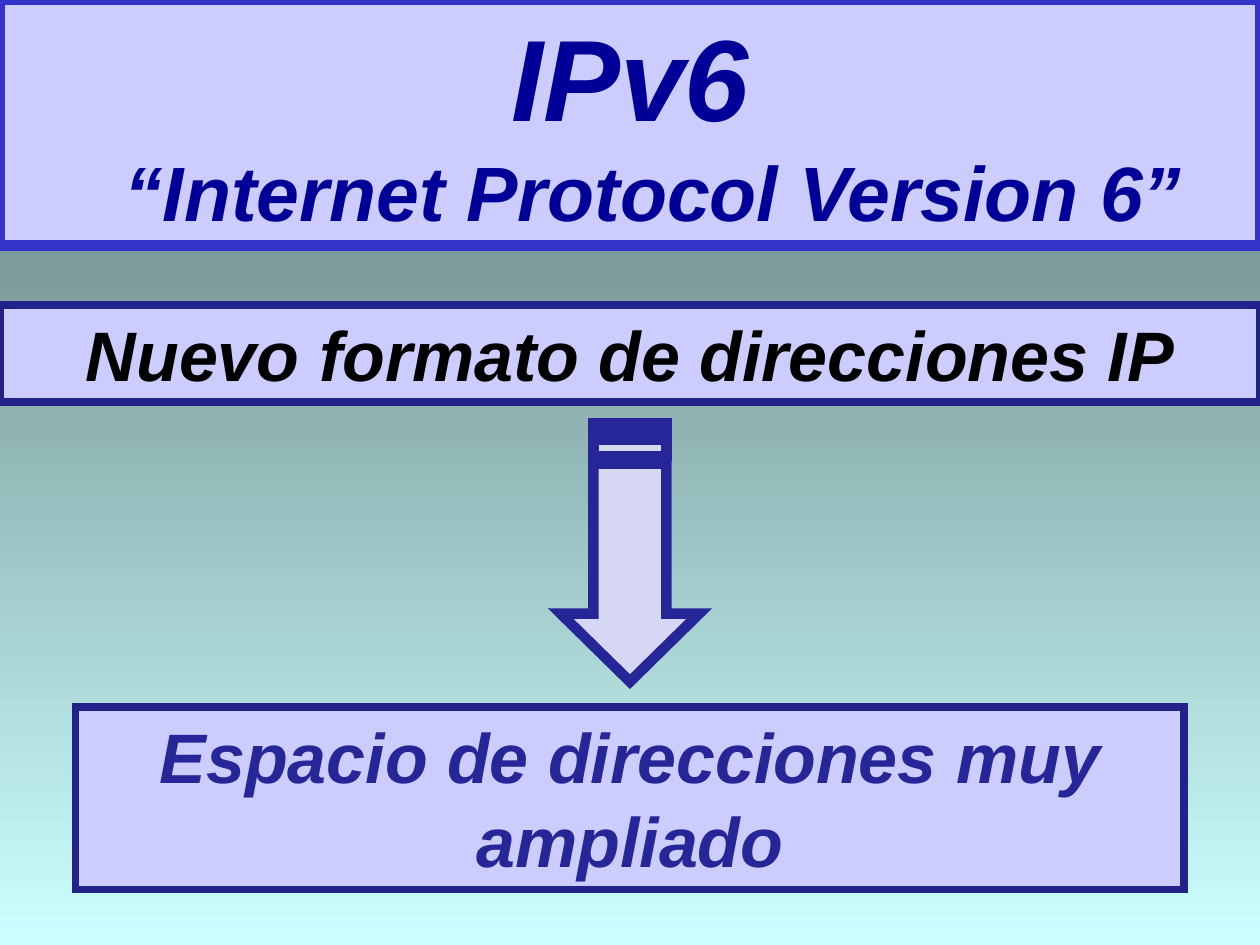
from lxml.etree import SubElement
from pptx import Presentation
from pptx.dml.color import RGBColor
from pptx.enum.shapes import MSO_SHAPE as Shape
from pptx.enum.text import MSO_ANCHOR as Anchor, PP_ALIGN as Align
from pptx.oxml.ns import qn
from pptx.util import Inches, Pt

LAVENDER = RGBColor(0xCC, 0xCC, 0xFF)
PALE = RGBColor(0xD6, 0xD6, 0xF5)
BLUE = RGBColor(0x33, 0x33, 0xCC)
NAVY = RGBColor(0x22, 0x22, 0x8B)
INDIGO = RGBColor(0x26, 0x26, 0x99)
TITLE_BLUE = RGBColor(0x00, 0x00, 0x99)
BLACK = RGBColor(0x00, 0x00, 0x00)
SKY_TOP = RGBColor(0x5E, 0x76, 0x76)
SKY_BOTTOM = RGBColor(0xCC, 0xFF, 0xFF)

WIDTH, HEIGHT = 10, 7.5


def paint(shape, fill, line, weight):
    """Set a plain fill and a sharp-cornered line, without shadow."""
    shape.shadow.inherit = False
    shape.fill.solid()
    shape.fill.fore_color.rgb = fill
    shape.line.color.rgb = line
    shape.line.width = Pt(weight)
    SubElement(shape.line._get_or_add_ln(), qn("a:miter"), lim="800000")


def add_banner(top, width, height, line, weight, text, sizes, color):
    """Add a centred box; sizes gives one font size per line of text."""
    box = page.shapes.add_shape(
        Shape.RECTANGLE, Inches((WIDTH - width) / 2), Inches(top),
        Inches(width), Inches(height))
    paint(box, LAVENDER, line, weight)
    frame = box.text_frame
    frame.word_wrap = True
    frame.vertical_anchor = Anchor.TOP
    para = frame.paragraphs[0]
    para.text = text
    para.alignment = Align.CENTER
    for span, size in zip(para.runs, sizes):
        span.font.name = "Arial"
        span.font.size = Pt(size)
        span.font.bold = span.font.italic = True
        span.font.color.rgb = color
    return box


deck = Presentation()
deck.slide_width, deck.slide_height = Inches(WIDTH), Inches(HEIGHT)
page = deck.slides.add_slide(deck.slide_layouts[6])

sky = page.background.fill
sky.gradient()
sky.gradient_angle = 270
for stop, color in zip(sky.gradient_stops, (SKY_TOP, SKY_BOTTOM)):
    stop.color.rgb = color

# Title: the second line is shifted by a hanging indent
title = add_banner(0, WIDTH, 1.95, BLUE, 6,
                   "IPv6\v“Internet Protocol Version 6”", (66, 44), TITLE_BLUE)
indent = title.text_frame.paragraphs[0]._p.get_or_add_pPr()
indent.set("marL", str(Inches(0.38)))
indent.set("indent", str(-Inches(0.38)))

# Striped arrow, in hundredths of an inch: two bars above a down arrow
CENTER, STEM, HEAD = 500, 29, 55
LEFT, RIGHT = CENTER - STEM, CENTER + STEM
arrow = [(RIGHT, 487), (RIGHT, 368), (LEFT, 368), (LEFT, 487),
         (CENTER - HEAD, 487), (CENTER, 541), (CENTER + HEAD, 487)]
outline = page.shapes.build_freeform(*arrow[0], scale=Inches(0.01))
outline.add_line_segments(arrow[1:], close=True)
for top, bottom in ((349, 362), (336, 342)):
    outline.move_to(RIGHT, top)
    outline.add_line_segments(
        [(LEFT, top), (LEFT, bottom), (RIGHT, bottom)], close=True)
paint(outline.convert_to_shape(), PALE, INDIGO, 6)

for top, width, height, text, color in (
        (2.42, WIDTH, 0.77, "Nuevo formato de direcciones IP", BLACK),
        (5.61, 8.8, 1.45, "Espacio de direcciones muy ampliado", INDIGO)):
    add_banner(top, width, height, NAVY, 4.5, text, (40,), color)

deck.save("out.pptx")
